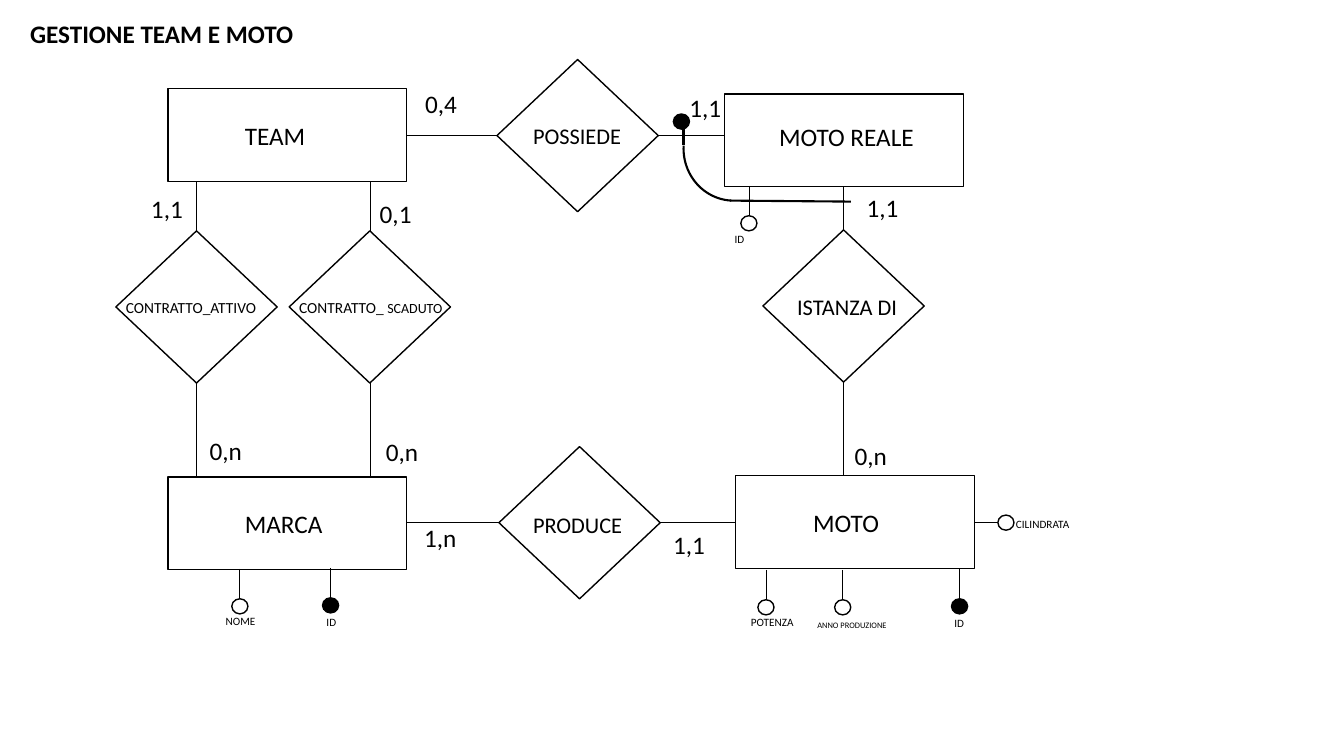
"""Entity-relationship diagram of teams, brands and motorcycles."""
from lxml import etree
from pptx import Presentation
from pptx.dml.color import RGBColor
from pptx.enum.shapes import MSO_CONNECTOR, MSO_SHAPE
from pptx.enum.text import MSO_AUTO_SIZE
from pptx.oxml.ns import qn
from pptx.util import Pt

RECTANGLE, DIAMOND = MSO_SHAPE.RECTANGLE, MSO_SHAPE.DIAMOND
OVAL, ARC = MSO_SHAPE.OVAL, MSO_SHAPE.ARC
STRAIGHT, GROW = MSO_CONNECTOR.STRAIGHT, MSO_AUTO_SIZE.SHAPE_TO_FIT_TEXT

COLORS = {"ink": "000000"}
FONT = "Calibri"
ENTITY_SIZE = (170.6, 66.2)
RELATION_SIZE = (115.2, 108.7)
DOT_SIZE = (11.5, 10.8)
STEM = {"down": 21.4, "right": 16.8}
THIN, OUTLINE, THICK = 0.5, 1, 1.5

TITLE = ("GESTIONE TEAM E MOTO", 14.4, 9.4)

# name: (box corner, label corner)
ENTITIES = {
    "TEAM": ((120, 63.4), (167.8, 82.1)),
    "MARCA": ((120, 340.6), (167.8, 359.3)),
    "MOTO": ((525.6, 339.8), (573.8, 358.6)),
    "MOTO REALE": ((517.7, 67), (549.4, 82.8)),
}

RELATIONS = {
    "attivo": ((82.8, 164.9), (82.8, 209.5), [("CONTRATTO_ATTIVO", 11)]),
    "scaduto": ((206.6, 164.9), (206.6, 209.5), [("CONTRATTO_ ", 11), ("SCADUTO", 10)]),
    "produce": ((356.4, 319), (373.7, 361.4), [("PRODUCE", 16)]),
    "istanza": ((545, 164.2), (562.3, 205.9), [("ISTANZA DI", 16)]),
    "possiede": ((355, 42.5), (373.7, 83.5), [("POSSIEDE", 16)]),
}

LINKS = [
    ("attivo", "top", "TEAM", "1,1", (100.8, 134.6)),
    ("attivo", "bottom", "MARCA", "0,n", (142.6, 307.4)),
    ("scaduto", "top", "TEAM", "0,1", (264.2, 138.2)),
    ("scaduto", "bottom", "MARCA", "0,n", (268.6, 308.2)),
    ("produce", "left", "MARCA", "1,n", (295.9, 369.4)),
    ("produce", "right", "MOTO", "1,1", (473.8, 374.4)),
    ("istanza", "top", "MOTO REALE", "1,1", (612, 133.9)),
    ("istanza", "bottom", "MOTO", "0,n", (603.4, 311)),
    ("possiede", "left", "TEAM", "0,4", (296.6, 59.8)),
    ("possiede", "right", "MOTO REALE", "1,1", (485.3, 62.6)),
]

# name, size, is key, stem direction, dot corner, label corner, label width
ATTRIBUTES = [
    ("NOME", 8, False, "down", (165.6, 427.7), (154.1, 435.6), 51),
    ("ID", 8, True, "down", (230.4, 427), (226.1, 436.3), 38),
    ("ID", 8, False, "down", (529.2, 154.1), (517.7, 162.7), 51),
    ("POTENZA", 8, False, "down", (541.4, 428.4), (529.2, 436.3), 51),
    ("ANNO PRODUZIONE", 6, False, "down", (596.2, 428.4), (576.7, 439.2), 79),
    ("ID", 8, True, "down", (679.7, 427.7), (674.6, 437), 38),
    ("CILINDRATA", 8, False, "right", (712.8, 367.9), (718.6, 365.8), 58),
]

KEY_DOT = (481, 81.4)
KEY_LINES = [((521.3, 143.3), (607.7, 144)), ((488.2, 87.1), (488.2, 103.7))]
KEY_BEND = ((488.2, 68.4), (72, 74.9), 183)

deck = Presentation()
deck.slide_width, deck.slide_height = Pt(960), Pt(540)
slide = deck.slides.add_slide(deck.slide_layouts[6])
ink = RGBColor.from_string(COLORS["ink"])


def add_outline(kind, corner, size, weight=OUTLINE, filled=False):
    shape = slide.shapes.add_shape(kind, *map(Pt, corner + size))
    shape.shadow.inherit = False
    if filled:
        shape.fill.solid()
        shape.fill.fore_color.rgb = ink
    else:
        shape.fill.background()
    shape.line.color.rgb = ink
    shape.line.width = Pt(weight)
    return shape


def add_line(start, end, weight=THIN):
    line = slide.shapes.add_connector(STRAIGHT, *map(Pt, start + end))
    line.line.color.rgb = ink
    line.line.width = Pt(weight)
    etree.SubElement(line._element.spPr, qn("a:effectLst"))


def add_label(runs, corner, width, bold=False):
    height = 1.2 * max(size for _, size in runs) + 7.2
    frame = slide.shapes.add_textbox(*map(Pt, corner + (width, height))).text_frame
    frame.word_wrap = True
    frame.auto_size = GROW
    for text, size in runs:
        run = frame.paragraphs[0].add_run()
        run.text = text
        run.font.name, run.font.size, run.font.bold = FONT, Pt(size), bold
        run.font.color.rgb = ink


def link_ends(relation, side, entity):
    (x, y), (w, h) = RELATIONS[relation][0], RELATION_SIZE
    (left, top), (width, height) = ENTITIES[entity][0], ENTITY_SIZE
    middle_x, middle_y = x + w / 2, y + h / 2
    return {
        "top": ((middle_x, y), (middle_x, top + height)),
        "bottom": ((middle_x, y + h), (middle_x, top)),
        "left": ((x, middle_y), (left + width, middle_y)),
        "right": ((x + w, middle_y), (left, middle_y)),
    }[side]


title, title_x, title_y = TITLE
add_label([(title, 18)], (title_x, title_y), 313, bold=True)

for entity, (corner, label_corner) in ENTITIES.items():
    add_outline(RECTANGLE, corner, ENTITY_SIZE)
    add_label([(entity, 18)], label_corner, 122.4)

for corner, label_corner, runs in RELATIONS.values():
    add_outline(DIAMOND, corner, RELATION_SIZE)
    add_label(runs, label_corner, 127.4)

for relation, side, entity, cardinality, label_corner in LINKS:
    add_line(*link_ends(relation, side, entity))
    add_label([(cardinality, 18)], label_corner, 52)

for name, size, is_key, direction, dot, label_corner, width in ATTRIBUTES:
    if direction == "down":
        end = (dot[0] + DOT_SIZE[0] / 2, dot[1])
        start = (end[0], end[1] - STEM[direction])
    else:
        end = (dot[0], dot[1] + DOT_SIZE[1] / 2)
        start = (end[0] - STEM[direction], end[1])
    add_line(start, end)
    add_outline(OVAL, dot, DOT_SIZE, filled=is_key)
    add_label([(name, size)], label_corner, width)

for start, end in KEY_LINES:
    add_line(start, end, THICK)
bend_corner, bend_size, bend_angle = KEY_BEND
add_outline(ARC, bend_corner, bend_size, THICK).rotation = bend_angle
add_outline(OVAL, KEY_DOT, DOT_SIZE, filled=True)

deck.save("out.pptx")
